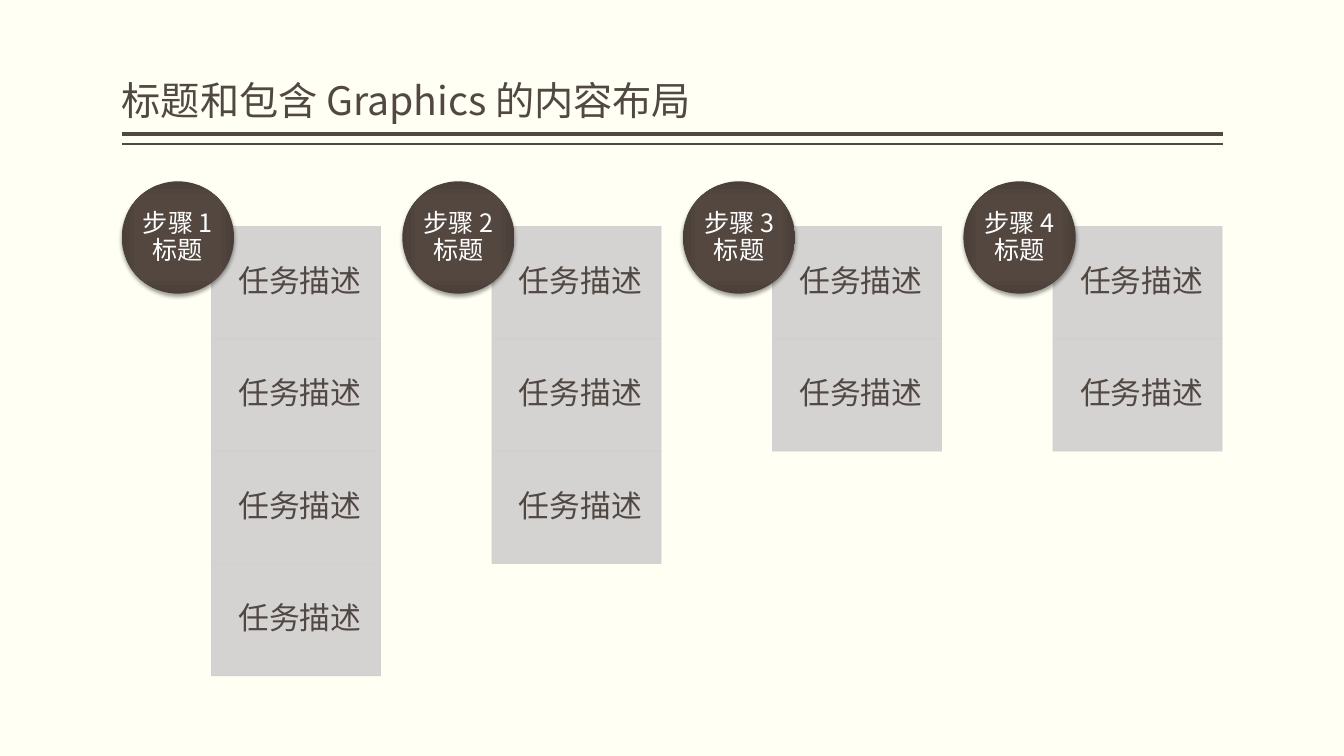
"""Build a slide with four step columns of task descriptions under a ruled title."""
from pptx import Presentation
from pptx.dml.color import RGBColor
from pptx.enum.shapes import MSO_CONNECTOR, MSO_SHAPE
from pptx.enum.text import MSO_ANCHOR, MSO_AUTO_SIZE, PP_ALIGN
from pptx.oxml import parse_xml
from pptx.oxml.ns import nsdecls, qn
from pptx.util import Cm, Pt

STRAIGHT = MSO_CONNECTOR.STRAIGHT
RECTANGLE, OVAL = MSO_SHAPE.RECTANGLE, MSO_SHAPE.OVAL
MIDDLE, BOTTOM = MSO_ANCHOR.MIDDLE, MSO_ANCHOR.BOTTOM
LEFT, CENTER = PP_ALIGN.LEFT, PP_ALIGN.CENTER
NO_FIT = MSO_AUTO_SIZE.NONE

FONT = "Noto Sans CJK SC"
BROWN, GREY, WHITE, IVORY = "514843", "D0CFCF", "FFFFFF", "FFFFF3"
MARGIN, CONTENT_WIDTH = 3.07, 27.74
COLUMN_PITCH, CIRCLE_SIZE, CIRCLE_TOP = 7.07, 2.83, 4.57
CARD_OFFSET, CARD_TOP, CARD_WIDTH, CARD_HEIGHT = 2.26, 5.71, 4.26, 2.83
TASK_COUNTS = [4, 3, 2, 2]

CIRCLE_FILL = f"""<a:gradFill {nsdecls("a")} rotWithShape="1"><a:gsLst>
<a:gs pos="0"><a:srgbClr val="544740"/></a:gs>
<a:gs pos="71000"><a:srgbClr val="534740"/></a:gs>
<a:gs pos="100000"><a:srgbClr val="4A3F39"/></a:gs></a:gsLst>
<a:path path="rect"><a:fillToRect l="50000" t="50000" r="50000" b="50000"/></a:path>
</a:gradFill>"""
CIRCLE_SHADOW = f"""<a:effectLst {nsdecls("a")}>
<a:outerShdw blurRad="39370" dist="25400" dir="5400000" rotWithShape="0">
<a:srgbClr val="000000"><a:alpha val="38000"/></a:srgbClr></a:outerShdw></a:effectLst>"""


def color(value):
    return RGBColor.from_string(value)


def write(shape, text, size, text_color, alignment, anchor, insets):
    frame = shape.text_frame
    frame.text = text
    frame.word_wrap = True
    frame.auto_size = NO_FIT
    frame.vertical_anchor = anchor
    (frame.margin_left, frame.margin_top,
     frame.margin_right, frame.margin_bottom) = [Cm(inset) for inset in insets]
    paragraph = frame.paragraphs[0]
    paragraph.alignment = alignment
    paragraph.line_spacing = 0.9
    paragraph.font.name = FONT
    paragraph.font.size = Pt(size)
    paragraph.font.color.rgb = color(text_color)
    properties = paragraph.font._element
    properties.find(qn("a:latin")).addnext(
        parse_xml(f'<a:ea {nsdecls("a")} typeface="{FONT}"/>'))


presentation = Presentation()
presentation.slide_width, presentation.slide_height = Cm(33.87), Cm(19.05)
slide = presentation.slides.add_slide(presentation.slide_layouts[5])
slide.background.fill.solid()
slide.background.fill.fore_color.rgb = color(IVORY)

title = slide.shapes.title
title.left, title.top = Cm(MARGIN), Cm(0.2)
title.width, title.height = Cm(CONTENT_WIDTH), Cm(3.05)
write(title, "标题和包含 Graphics 的内容布局", 28, BROWN, LEFT, BOTTOM, (0, 0.13, 0, 0.13))

for rule_top, rule_width in [(3.38, 3), (3.63, 1)]:
    rule = slide.shapes.add_connector(
        STRAIGHT, Cm(MARGIN + CONTENT_WIDTH), Cm(rule_top), Cm(MARGIN), Cm(rule_top))
    rule.line.color.rgb = color(BROWN)
    rule.line.width = Pt(rule_width)
    rule._element.spPr.append(parse_xml(f'<a:effectLst {nsdecls("a")}/>'))

for column, task_count in enumerate(TASK_COUNTS):
    column_left = MARGIN + column * COLUMN_PITCH

    for row in range(task_count):
        card = slide.shapes.add_shape(
            RECTANGLE, Cm(column_left + CARD_OFFSET), Cm(CARD_TOP + row * CARD_HEIGHT),
            Cm(CARD_WIDTH), Cm(CARD_HEIGHT))
        card.shadow.inherit = False
        card.fill.solid()
        card.fill.fore_color.rgb = color(GREY)
        card.line.color.rgb = color(GREY)
        card.line.width = Pt(0.5)
        for shade in card._element.spPr.iter(qn("a:srgbClr")):
            shade.append(parse_xml(f'<a:alpha {nsdecls("a")} val="90000"/>'))
        write(card, "任务描述", 22, BROWN, LEFT, MIDDLE, (0.68, 0.43, 0.43, 0.43))

    circle = slide.shapes.add_shape(
        OVAL, Cm(column_left), Cm(CIRCLE_TOP), Cm(CIRCLE_SIZE), Cm(CIRCLE_SIZE))
    circle.shadow.inherit = False
    circle.fill.solid()
    circle.line.fill.background()
    properties = circle._element.spPr
    properties.replace(properties.find(qn("a:solidFill")), parse_xml(CIRCLE_FILL))
    properties.replace(properties.find(qn("a:effectLst")), parse_xml(CIRCLE_SHADOW))
    write(circle, f"步骤 {column + 1} 标题", 18, WHITE, CENTER, MIDDLE, (0, 0, 0, 0))

presentation.save("out.pptx")
